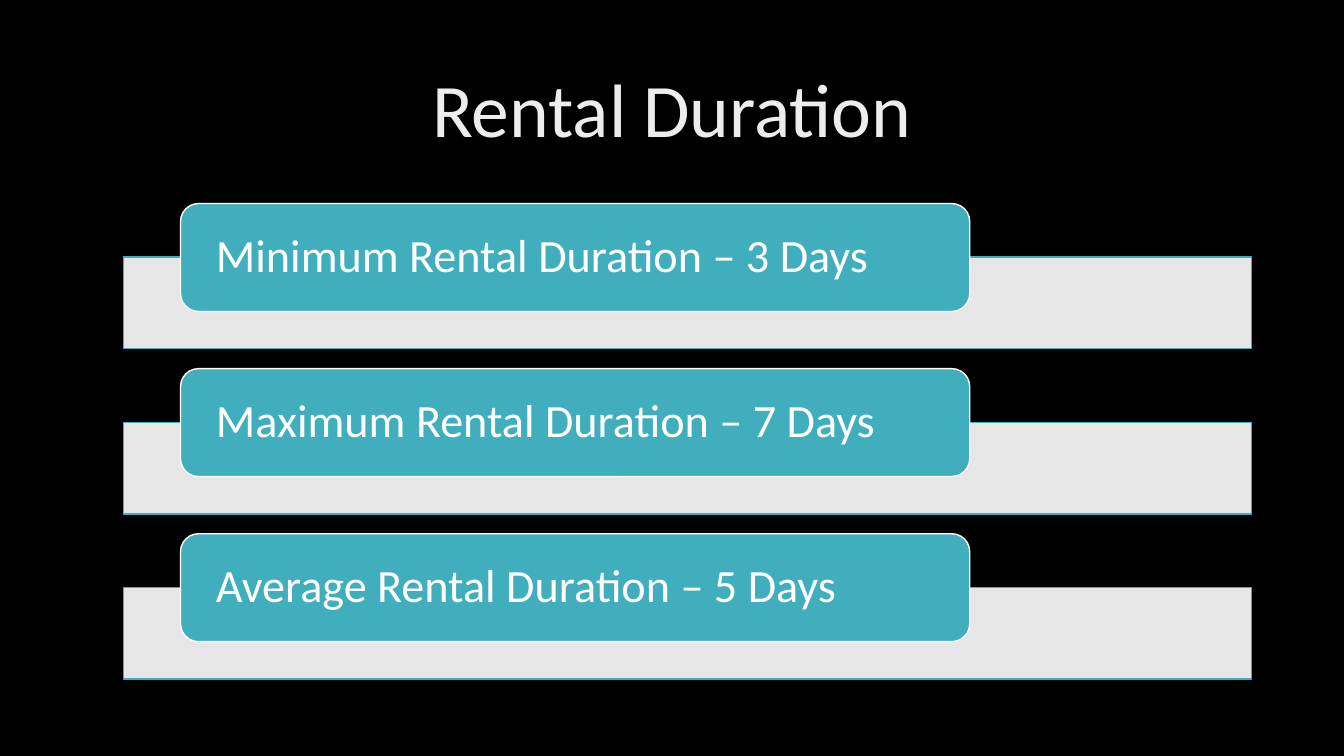
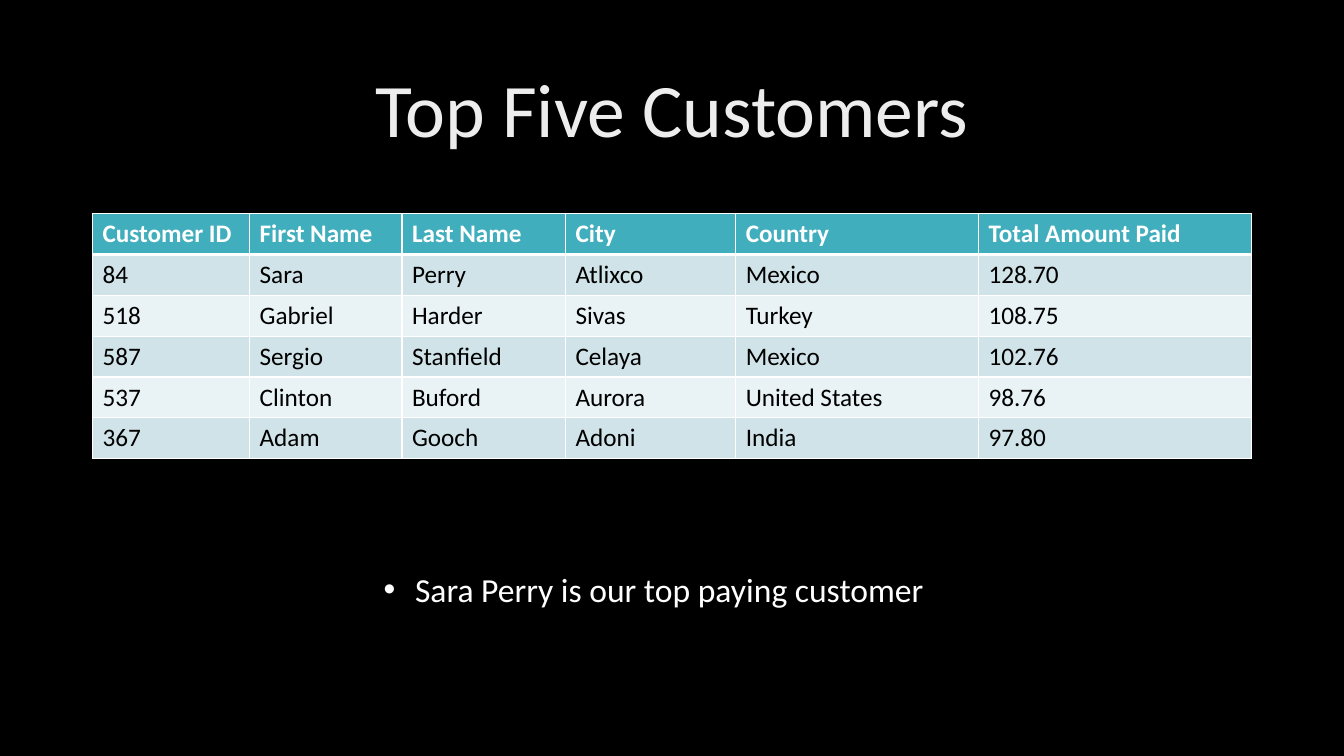
import pptx
import pptx.dml.color
import pptx.enum.shapes
import pptx.enum.text
import pptx.oxml.ns
import pptx.util
from lxml import etree

Cm = pptx.util.Cm
Pt = pptx.util.Pt
qn = pptx.oxml.ns.qn
FONT = "Calibri"
TEAL = "41AEBD"
WHITE = "FFFFFF"
BLACK = "000000"
TITLE_GRAY = "EDEDED"
BAND_COLORS = ["E9F2F4", "CFE3E8"]


def paint(color_format, hex_color):
    color_format.rgb = pptx.dml.color.RGBColor.from_string(hex_color)


def style_text(text_frame, size, hex_color, bold=False):
    for paragraph in text_frame.paragraphs:
        for run in paragraph.runs:
            run.font.name = FONT
            run.font.size = Pt(size)
            run.font.bold = bold
            paint(run.font.color, hex_color)


presentation = pptx.Presentation()
presentation.slide_width = Cm(33.87)
presentation.slide_height = Cm(19.05)
master_fill = presentation.slide_master.background.fill
master_fill.solid()
paint(master_fill.fore_color, BLACK)

slides = []
for title in ["Rental Duration", "Top Five Customers"]:
    slide = presentation.slides.add_slide(presentation.slide_layouts[6])
    title_box = slide.shapes.add_textbox(Cm(2.33), Cm(1.02), Cm(29.21), Cm(3.68))
    title_frame = title_box.text_frame
    title_frame.word_wrap = True
    title_frame.vertical_anchor = pptx.enum.text.MSO_ANCHOR.MIDDLE
    title_frame.text = title
    title_frame.paragraphs[0].alignment = pptx.enum.text.PP_ALIGN.CENTER
    title_frame.paragraphs[0].line_spacing = 0.9
    style_text(title_frame, 54, TITLE_GRAY)
    slides.append(slide)
duration_slide, customer_slide = slides

durations = [
    "Minimum Rental Duration – 3 Days",
    "Maximum Rental Duration – 7 Days",
    "Average Rental Duration – 5 Days",
]
for index, duration in enumerate(durations):
    top = 5.13 + 4.16 * index
    bar = duration_slide.shapes.add_shape(
        pptx.enum.shapes.MSO_SHAPE.RECTANGLE, Cm(3.12), Cm(top + 1.35), Cm(28.42), Cm(2.31))
    label = duration_slide.shapes.add_shape(
        pptx.enum.shapes.MSO_SHAPE.ROUNDED_RECTANGLE, Cm(4.55), Cm(top), Cm(19.89), Cm(2.72))
    for shape, fill_color, line_color in [(bar, WHITE, TEAL), (label, TEAL, WHITE)]:
        shape.shadow.inherit = False
        shape.fill.solid()
        paint(shape.fill.fore_color, fill_color)
        paint(shape.line.color, line_color)
        shape.line.width = Pt(1)
    bar_color = bar.fill._xPr.find(qn("a:solidFill")).find(qn("a:srgbClr"))
    etree.SubElement(bar_color, qn("a:alpha"), val="90000")

    label_frame = label.text_frame
    label_frame.word_wrap = True
    label_frame.vertical_anchor = pptx.enum.text.MSO_ANCHOR.MIDDLE
    label_frame.margin_left = label_frame.margin_right = Cm(0.76)
    label_frame.margin_top = label_frame.margin_bottom = 0
    label_frame.text = duration
    label_frame.paragraphs[0].alignment = pptx.enum.text.PP_ALIGN.LEFT
    label_frame.paragraphs[0].line_spacing = 0.9
    style_text(label_frame, 33, WHITE)

customers = [
    ["Customer ID", "First Name", "Last Name", "City", "Country", "Total Amount Paid"],
    ["84", "Sara", "Perry", "Atlixco", "Mexico", "128.70"],
    ["518", "Gabriel", "Harder", "Sivas", "Turkey", "108.75"],
    ["587", "Sergio", "Stanfield", "Celaya", "Mexico", "102.76"],
    ["537", "Clinton", "Buford", "Aurora", "United States", "98.76"],
    ["367", "Adam", "Gooch", "Adoni", "India", "97.80"],
]
column_widths = [3.96, 3.84, 4.12, 4.29, 6.12, 6.88]
row_height = 1.03
table = customer_slide.shapes.add_table(
    len(customers), len(column_widths), Cm(2.33), Cm(5.38),
    Cm(sum(column_widths)), Cm(row_height * len(customers))).table
for column, width in zip(table.columns, column_widths):
    column.width = Cm(width)
for row_index, customer in enumerate(customers):
    table.rows[row_index].height = Cm(row_height)
    is_header = row_index == 0
    border_widths = {
        "a:lnL": 1,
        "a:lnR": 1,
        "a:lnT": 3 if row_index == 1 else 1,
        "a:lnB": 3 if is_header else 1,
    }
    for column_index, value in enumerate(customer):
        cell = table.cell(row_index, column_index)
        cell.text_frame.text = value
        style_text(cell.text_frame, 18, WHITE if is_header else BLACK, is_header)
        properties = cell._tc.get_or_add_tcPr()
        for tag, width in border_widths.items():
            border = etree.SubElement(properties, qn(tag), w=str(Pt(width)))
            border_fill = etree.SubElement(border, qn("a:solidFill"))
            etree.SubElement(border_fill, qn("a:srgbClr"), val=WHITE)
        cell.fill.solid()
        paint(cell.fill.fore_color, TEAL if is_header else BAND_COLORS[row_index % 2])

note_box = customer_slide.shapes.add_textbox(Cm(9.42), Cm(14.2), Cm(15.01), Cm(1.27))
note_frame = note_box.text_frame
note_frame.word_wrap = True
note_frame.text = "Sara Perry is our top paying customer"
style_text(note_frame, 24, WHITE)
note_properties = note_frame.paragraphs[0]._p.get_or_add_pPr()
note_properties.set("marL", str(Cm(0.79)))
note_properties.set("indent", str(-Cm(0.79)))
etree.SubElement(note_properties, qn("a:buFont"), typeface="Arial")
etree.SubElement(note_properties, qn("a:buChar"), char="•")

presentation.save("out.pptx")
